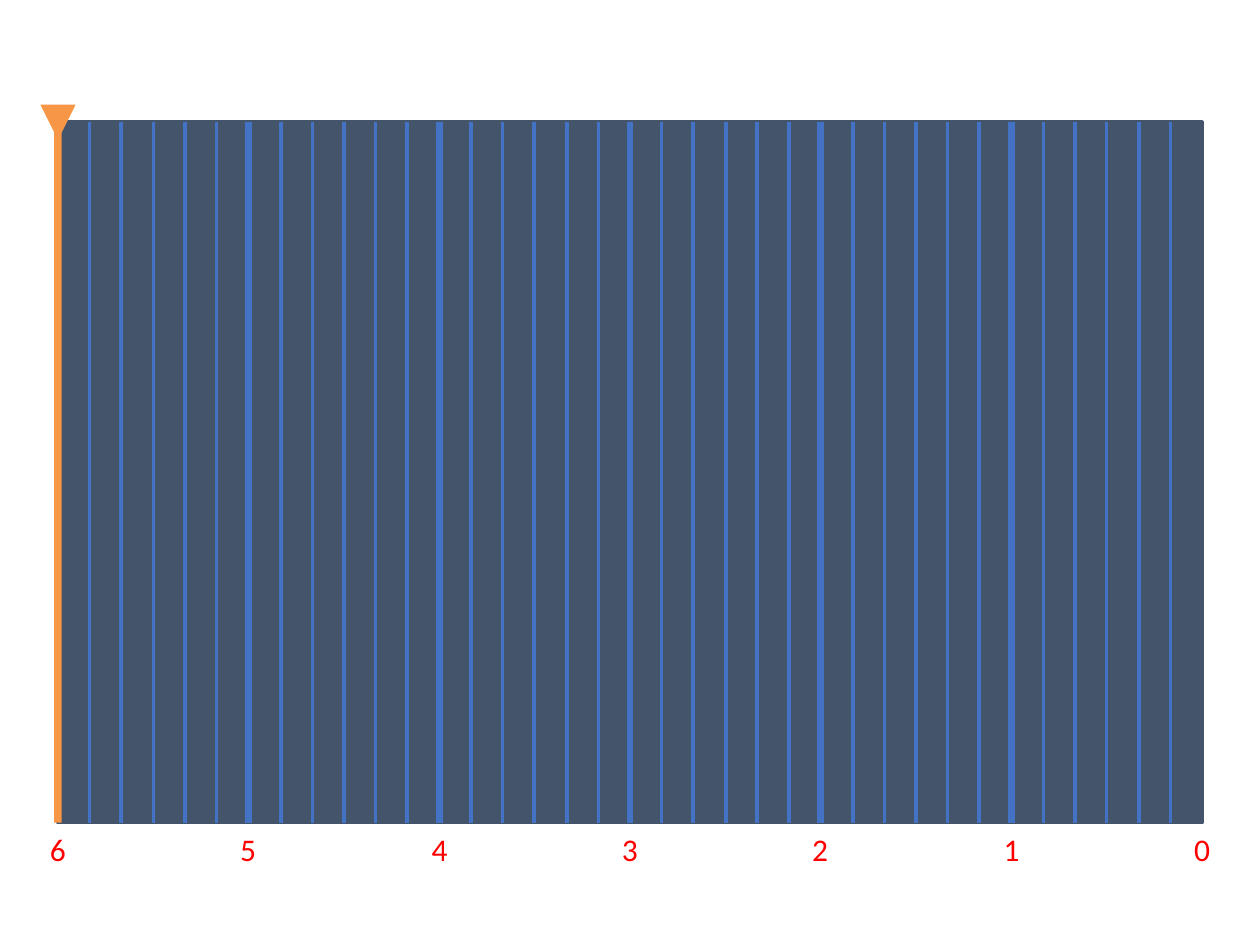
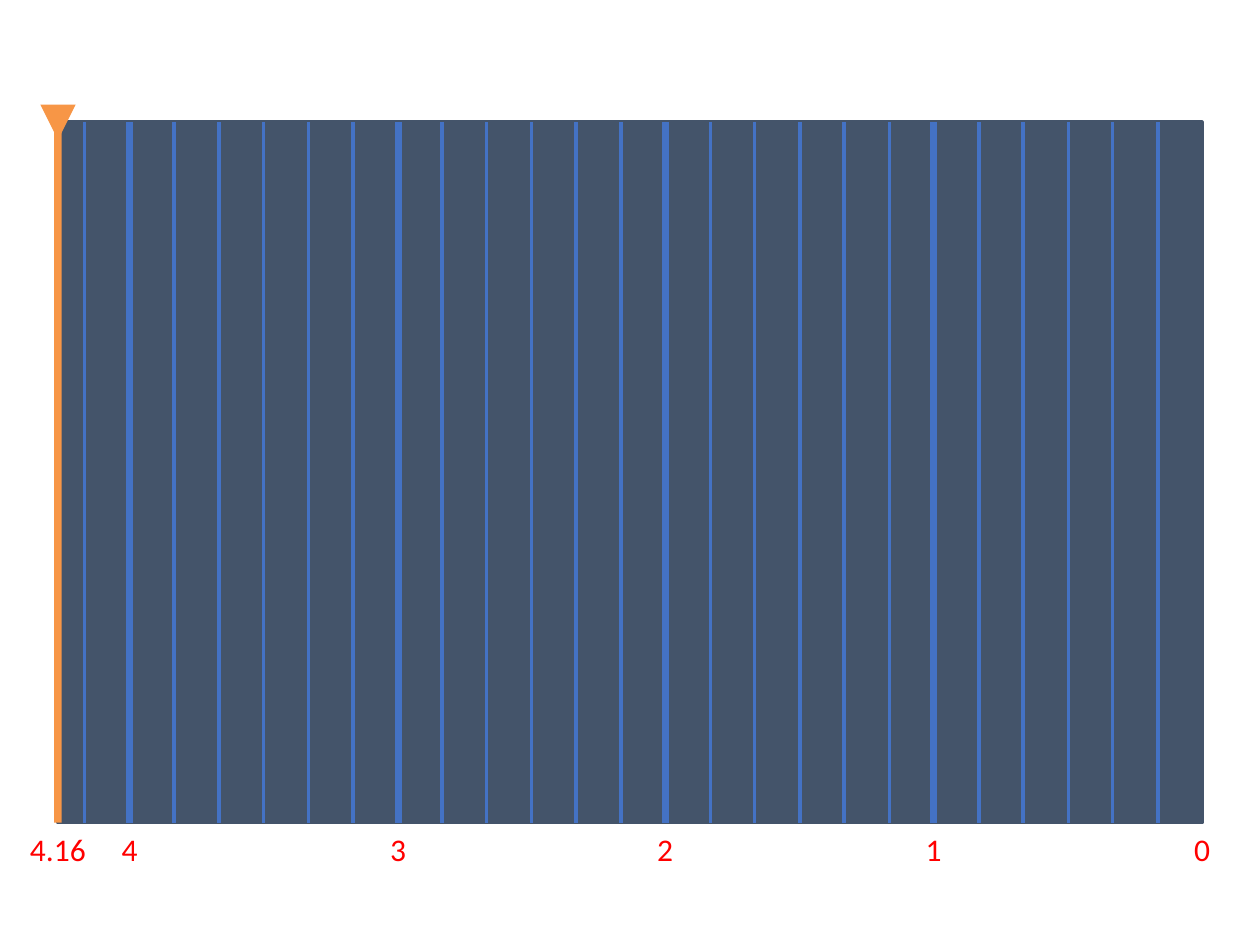
from dataclasses import dataclass

from lxml.etree import SubElement
from pptx import Presentation
from pptx.dml.color import RGBColor
from pptx.enum.shapes import MSO_CONNECTOR, MSO_SHAPE
from pptx.enum.text import MSO_ANCHOR, PP_ALIGN
from pptx.oxml.ns import qn
from pptx.shapes.autoshape import Shape
from pptx.shapes.group import GroupShape
from pptx.slide import Slide
from pptx.util import Emu, Pt

PX = 9144  # 100 px to the inch
COLORS = {"panel": "44546A", "tick": "4472C4", "label": "FF0000", "marker": "F79646"}
FONT = "Calibri"
HOUR = 60
TICK_STEP = 10
LABEL_WIDTH, LABEL_HEIGHT = 60, 42


@dataclass(frozen=True)
class Block:
    preset: MSO_SHAPE
    left: int
    top: int
    width: int
    height: int
    color: str
    line_width: int = 0
    rotation: int = 0

    @property
    def right(self) -> int:
        return self.left + self.width

    @property
    def bottom(self) -> int:
        return self.top + self.height

    @property
    def center(self) -> int:
        return self.left + self.width // 2


@dataclass(frozen=True)
class Timeline:
    """A countdown in minutes, running from the left edge of the panel to 0 at its right edge."""

    minutes: int

    def position(self, minute: int) -> int:
        return round(PANEL.right - PANEL.width * minute / self.minutes)

    def tick_minutes(self) -> list[int]:
        return list(range(TICK_STEP, self.minutes, TICK_STEP))[::-1]

    def label_minutes(self) -> list[int]:
        return [self.minutes, *reversed(range(0, self.minutes, HOUR))]


PANEL = Block(MSO_SHAPE.RECTANGLE, 46, 97, 908, 556, "panel", line_width=2)
MARKER_HEAD = Block(MSO_SHAPE.ISOSCELES_TRIANGLE, 32, 83, 28, 28, "marker", rotation=180)
MARKER_BAR = Block(MSO_SHAPE.RECTANGLE, 43, PANEL.top, 6, PANEL.height, "marker")
TIMELINES = [Timeline(6 * HOUR), Timeline(4 * HOUR + 16)]


def px(length: int) -> Emu:
    return Emu(length * PX)


def color(name: str) -> RGBColor:
    return RGBColor.from_string(COLORS[name])


def clock_text(minute: int) -> str:
    """Whole hours as "4", other times as "4.16"."""
    hours, rest = divmod(minute, HOUR)
    return f"{hours}.{rest:02}" if rest else str(hours)


def draw_block(page: Slide, block: Block) -> Shape:
    shape = page.shapes.add_shape(
        block.preset, px(block.left), px(block.top), px(block.width), px(block.height)
    )
    shape.shadow.inherit = False
    shape.rotation = block.rotation
    shape.fill.solid()
    shape.fill.fore_color.rgb = color(block.color)
    if block.line_width:
        shape.line.color.rgb = color(block.color)
        shape.line.width = Pt(block.line_width)
    else:
        shape.line.fill.background()
    return shape


def draw_tick(group: GroupShape, panel: Shape, x: int, width: int) -> None:
    tick = group.shapes.add_connector(
        MSO_CONNECTOR.STRAIGHT, px(x), px(PANEL.top), px(x), px(PANEL.bottom)
    )
    if x == PANEL.center:
        tick.begin_connect(panel, 0)
        tick.end_connect(panel, 2)
    tick.line.color.rgb = color("tick")
    tick.line.width = Pt(width)
    SubElement(tick._element.spPr, qn("a:effectLst"))


def draw_label(group: GroupShape, x: int, text: str) -> None:
    box = group.shapes.add_textbox(
        px(x - LABEL_WIDTH // 2), px(PANEL.bottom), px(LABEL_WIDTH), px(LABEL_HEIGHT)
    )
    frame = box.text_frame
    frame.word_wrap = True
    frame.vertical_anchor = MSO_ANCHOR.MIDDLE
    frame.margin_left = frame.margin_right = frame.margin_top = frame.margin_bottom = 0
    para = frame.paragraphs[0]
    para.text = text
    para.alignment = PP_ALIGN.CENTER
    para.font.name = FONT
    para.font.size = Pt(18)
    para.font.color.rgb = color("label")


def draw_timeline(page: Slide, timeline: Timeline) -> None:
    panel = draw_block(page, PANEL)
    ticks = page.shapes.add_group_shape()
    for minute in timeline.tick_minutes():
        draw_tick(ticks, panel, timeline.position(minute), 2 if minute % HOUR else 4)
    labels = page.shapes.add_group_shape()
    for minute in timeline.label_minutes():
        draw_label(labels, timeline.position(minute), clock_text(minute))
    for block in (MARKER_HEAD, MARKER_BAR):
        draw_block(page, block)


def main() -> None:
    deck = Presentation()
    deck.slide_width, deck.slide_height = px(1000), px(750)
    for timeline in TIMELINES:
        draw_timeline(deck.slides.add_slide(deck.slide_layouts[6]), timeline)
    deck.save("out.pptx")


if __name__ == "__main__":
    main()
